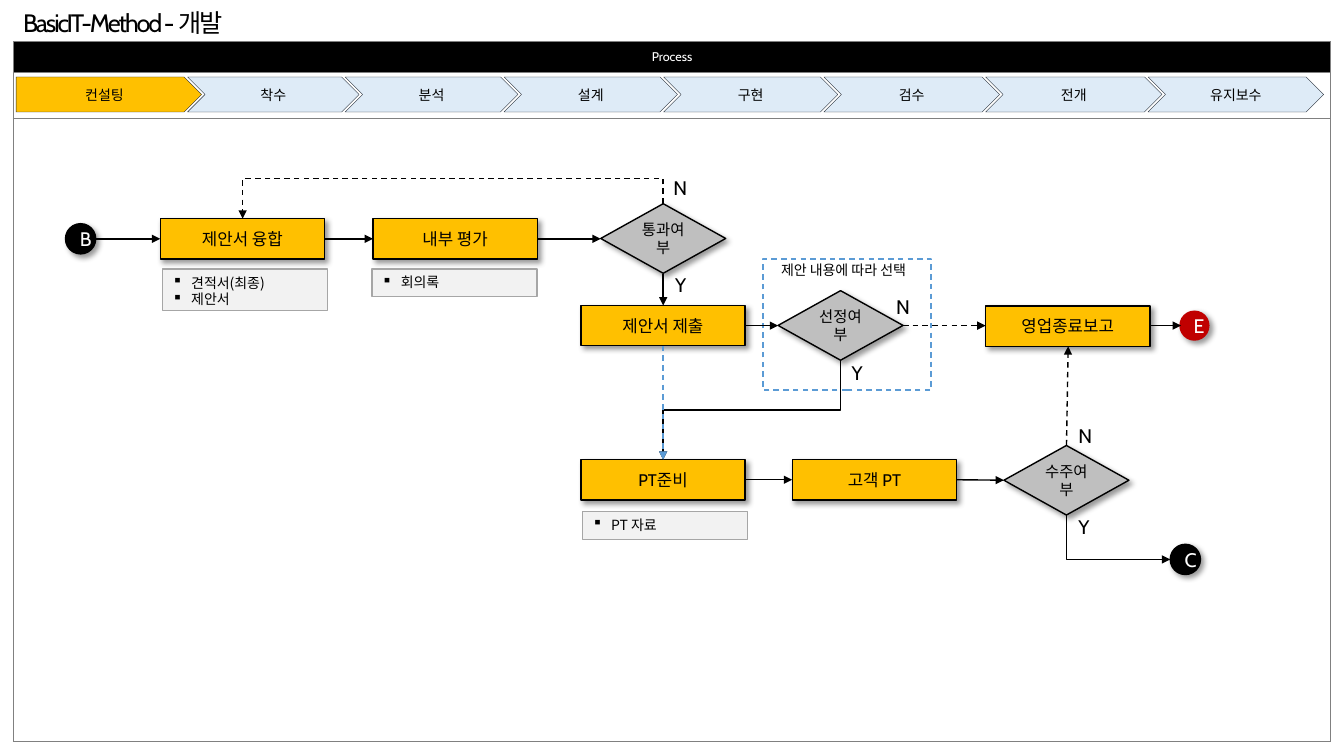
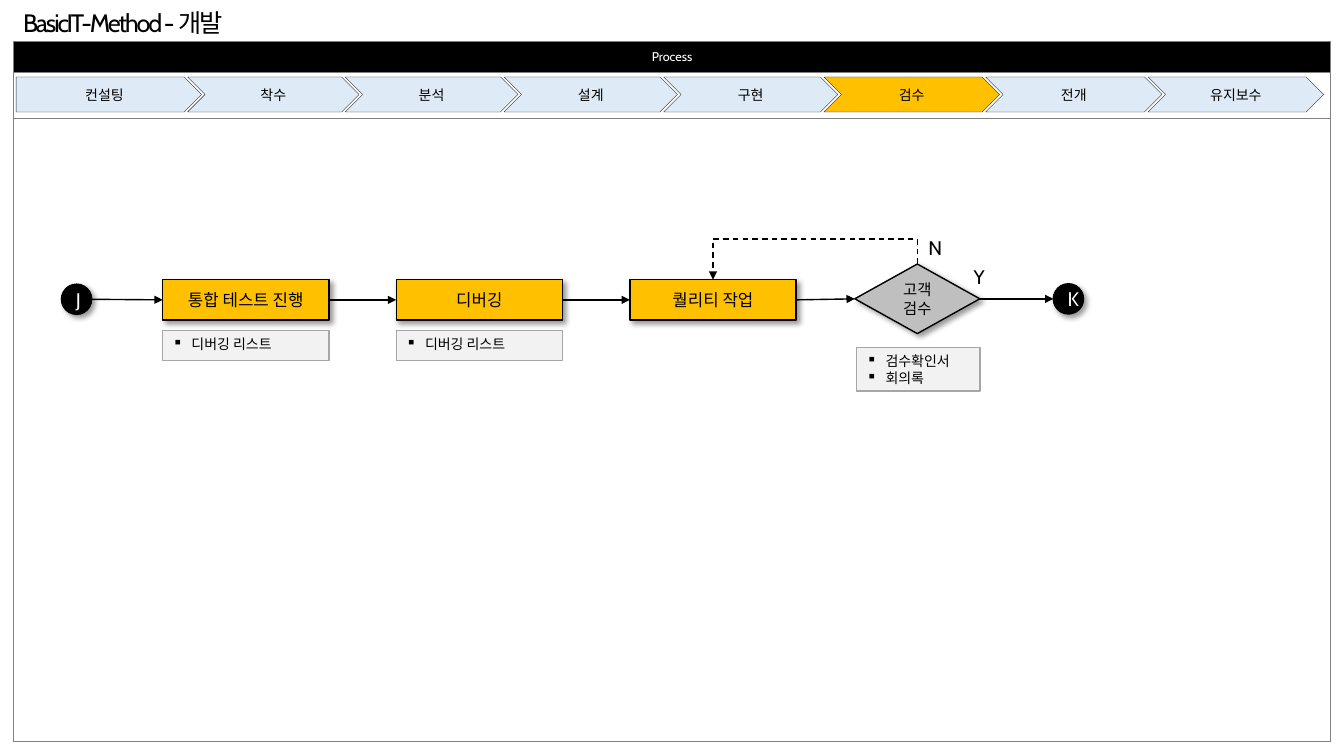
from lxml import etree
from pptx import Presentation
from pptx.dml.color import RGBColor
from pptx.enum import dml, shapes, text
from pptx.oxml import ns
from pptx.util import Pt

rgb = RGBColor.from_string
qn = ns.qn
SHAPE = shapes.MSO_SHAPE
BLACK, WHITE, GREY = "000000", "FFFFFF", "808080"
AMBER, PALE, BLUE, RED = "FFC000", "DEEBF7", "5B9BD5", "C00000"
LATIN, KOREAN = "Cabin", "Noto Sans CJK KR"

# kind: preset, fill, line colour, line width, text size, text colour, font, shadow
KINDS = {
    "first": (SHAPE.PENTAGON, PALE, "222A35", 0.25, 10, BLACK, LATIN, False),
    "stage": (SHAPE.CHEVRON, PALE, "222A35", 0.25, 10, BLACK, LATIN, False),
    "task": (SHAPE.RECTANGLE, AMBER, BLACK, 1, 12, BLACK, LATIN, True),
    "link": (SHAPE.OVAL, BLACK, BLACK, 1, 14, WHITE, LATIN, True),
    "end": (SHAPE.OVAL, RED, None, 0, 14, WHITE, LATIN, True),
    "decision": (SHAPE.DIAMOND, "BFBFBF", BLACK, 1, 11, BLACK, LATIN, True),
    "note": (SHAPE.RECTANGLE, "F2F2F2", "A6A6A6", 1, 10, BLACK, KOREAN, False),
    "option": (SHAPE.RECTANGLE, None, BLUE, 1, 10, BLACK, KOREAN, False),
    "answer": (None, None, None, 0, 14, BLACK, LATIN, False),
    "caption": (None, None, None, 0, 10, BLACK, KOREAN, False),
    "title": (None, None, None, 0, 18, BLACK, LATIN, False),
}
STAGES = ["컨설팅", "착수", "분석", "설계", "구현", "검수", "전개", "유지보수"]
STAGE_EDGES = [11.5, 134, 246.5, 360, 474, 588.5, 704, 820, 935.5]
STAGE_OVERLAP = 10
TITLE = ("title", 9.4, 1.4, 163.4, 28.8, "BasicIT-Method - 개발")
TASK, LINK, DECISION, ANSWER = (117.4, 28.8), (21.6, 21.6), (89.3, 49.7), (23, 24.5)
WIDE_TASK = (118.8, 28.8)

# items: kind, left, top, width, height, text
# arrows: start x, start y, end x, end y, colour, dashed, bend
# bend: None is straight, "corner" has one turn, a number is the drop before the turn
SLIDES = [
    {
        "active": "컨설팅",
        "items": [
            ("link", 46.8, 159.8, *LINK, "B"),
            ("task", 114.5, 156.2, *TASK, "제안서 융합"),
            ("note", 116, 192.2, 118, 29.5, "견적서(최종)\n제안서"),
            ("task", 266.4, 156.2, *TASK, "내부 평가"),
            ("note", 265.7, 192.2, 118, 19.5, "회의록"),
            ("decision", 429.1, 145.5, *DECISION, "통과여부"),
            ("answer", 475.2, 191.5, *ANSWER, "Y"),
            ("answer", 473.8, 122.4, *ANSWER, "N"),
            ("task", 414.9, 218.2, *TASK, "제안서 제출"),
            ("decision", 555.8, 207.6, *DECISION, "선정여부"),
            ("answer", 601.2, 254.2, *ANSWER, "Y"),
            ("answer", 633, 207.4, *ANSWER, "N"),
            ("option", 545, 185, 120.2, 93.6, ""),
            ("caption", 550.8, 183.6, 107.3, 19.4, "제안 내용에 따라 선택"),
            ("task", 704, 218.7, *TASK, "영업종료보고"),
            ("end", 842.4, 221.8, *LINK, "E"),
            ("task", 414.9, 328.3, *TASK, "PT준비"),
            ("note", 416, 365.2, 118, 20, "PT 자료"),
            ("task", 565.9, 328.3, *TASK, "고객 PT"),
            ("decision", 717.1, 318.2, *DECISION, "수주여부"),
            ("answer", 763.2, 364.3, *ANSWER, "Y"),
            ("answer", 763.2, 299.5, *ANSWER, "N"),
            ("link", 835.9, 388.8, *LINK, "C"),
        ],
        "arrows": [
            (68.4, 170.6, 114.5, 170.6, BLACK, False, None),
            (231.9, 170.6, 266.4, 170.6, BLACK, False, None),
            (383.8, 170.6, 429.1, 170.6, BLACK, False, None),
            (473.7, 145.5, 173.3, 156.2, BLACK, True, -18),
            (473.7, 195.5, 473.7, 218.2, BLACK, False, None),
            (532.4, 232.6, 555.8, 232.6, BLACK, False, None),
            (645, 232.6, 704, 232.6, BLACK, True, None),
            (821.4, 232.6, 843.6, 232.6, BLACK, False, None),
            (600.4, 257.4, 473.7, 328.3, BLACK, False, 35.4),
            (532.4, 342.7, 565.9, 342.7, BLACK, False, None),
            (683.3, 342.7, 717.1, 343, BLACK, False, None),
            (761.8, 318.2, 763, 247.4, BLACK, True, None),
            (761.8, 367.9, 835.9, 399.6, BLACK, False, "corner"),
            (473.7, 247, 473.7, 328.3, BLUE, True, None),
        ],
    },
    {
        "active": "검수",
        "items": [
            ("link", 43.9, 203, *LINK, "J"),
            ("task", 116.2, 199.8, *WIDE_TASK, "통합 테스트 진행"),
            ("note", 116.2, 236.2, 118.8, 21.4, "디버깅 리스트"),
            ("task", 283, 199.8, *WIDE_TASK, "디버깅"),
            ("note", 283, 236.2, 118.8, 21.4, "디버깅 리스트"),
            ("task", 449.9, 199.8, *WIDE_TASK, "퀄리티 작업"),
            ("decision", 610.6, 188.6, *DECISION, "고객\n검수"),
            ("note", 612, 248.4, 88, 31, "검수확인서\n회의록"),
            ("answer", 688.3, 185.8, *ANSWER, "Y"),
            ("answer", 656, 164.9, *ANSWER, "N"),
            ("link", 752.4, 202.7, *LINK, "K"),
        ],
        "arrows": [
            (65.5, 213.8, 116.2, 214.2, BLACK, False, None),
            (235, 214.2, 283, 214.2, BLACK, False, None),
            (401.8, 214.2, 449.9, 214.2, BLACK, False, None),
            (568.7, 214.2, 610.6, 213.5, BLACK, False, None),
            (699.9, 213.5, 752.4, 213.5, BLACK, False, None),
            (655.3, 188.6, 509.3, 199.8, BLACK, True, -18),
        ],
    },
]


def write(tf, content, size, colour, font, align, bulleted=False, spacing=None):
    for i, line in enumerate(content.split("\n")):
        p = tf.add_paragraph() if i else tf.paragraphs[0]
        p.alignment = align
        if bulleted:
            pPr = p._p.get_or_add_pPr()
            pPr.set("marL", str(Pt(13.5)))
            pPr.set("indent", str(-Pt(13.5)))
            etree.SubElement(pPr, qn("a:buChar"), char="▪")
        r = p.add_run()
        r.text = line
        r.font.size = Pt(size)
        r.font.color.rgb = rgb(colour)
        r.font.name = font
        rPr = r._r.get_or_add_rPr()
        etree.SubElement(rPr, qn("a:ea"), typeface=KOREAN)
        if spacing:
            rPr.set("spc", str(spacing))


def connect(s, x1, y1, x2, y2, colour, dashed, bend):
    """Draw an arrow; a bent one leaves vertically, so its frame is turned by 90 degrees."""
    kind = shapes.MSO_CONNECTOR.STRAIGHT
    if bend is not None:
        kind = shapes.MSO_CONNECTOR.ELBOW
        cx, cy, run, rise = (x1 + x2) / 2, (y1 + y2) / 2, y2 - y1, x1 - x2
        x1, y1, x2, y2 = cx - run / 2, cy - rise / 2, cx + run / 2, cy + rise / 2
    c = s.shapes.add_connector(kind, Pt(x1), Pt(y1), Pt(x2), Pt(y2))
    c.line.color.rgb = rgb(colour)
    c.line.width = Pt(1)
    if dashed:
        c.line.dash_style = dml.MSO_LINE.DASH
    spPr = c._element.spPr
    etree.SubElement(spPr.find(qn("a:ln")), qn("a:tailEnd"), type="triangle")
    etree.SubElement(spPr, qn("a:effectLst"))
    if bend is not None:
        spPr.find(qn("a:xfrm")).set("rot", str(90 * 60000))
        geom = spPr.find(qn("a:prstGeom"))
        if bend == "corner":
            geom.set("prst", "bentConnector2")
        else:
            guides = geom.find(qn("a:avLst"))
            if guides is None:
                guides = etree.SubElement(geom, qn("a:avLst"))
            share = round(bend / run * 100000)
            etree.SubElement(guides, qn("a:gd"), name="adj1", fmla=f"val {share}")


prs = Presentation()
prs.slide_width, prs.slide_height = Pt(960), Pt(540)

for page in SLIDES:
    s = prs.slides.add_slide(prs.slide_layouts[6])

    # Process frame
    frame = s.shapes.add_table(3, 1, Pt(9.5), Pt(29.7), Pt(941), Pt(499.7))
    table = frame.table
    table.first_row = table.horz_banding = False
    for row, height in zip(table.rows, (22.3, 32.4, 445)):
        row.height = Pt(height)
        cell = row.cells[0]
        tcPr = cell._tc.get_or_add_tcPr()
        for side in ("a:lnL", "a:lnR", "a:lnT", "a:lnB"):
            ln = etree.SubElement(tcPr, qn(side), w=str(Pt(0.5)))
            fill = etree.SubElement(ln, qn("a:solidFill"))
            etree.SubElement(fill, qn("a:srgbClr"), val=GREY)
        cell.fill.background()
    header = table.cell(0, 0)
    header.fill.solid()
    header.fill.fore_color.rgb = rgb(BLACK)
    header.vertical_anchor = text.MSO_ANCHOR.MIDDLE
    write(header.text_frame, "Process", 9, WHITE, LATIN, text.PP_ALIGN.CENTER)

    # Stage band, flow shapes and title
    band = []
    for i, name in enumerate(STAGES):
        left, right = STAGE_EDGES[i], STAGE_EDGES[i + 1] + STAGE_OVERLAP
        kind = "stage" if i else "first"
        band.append((kind, left, 55, right - left, 25, name))

    for kind, x, y, w, h, content in band + page["items"] + [TITLE]:
        preset, fill, line, width, size, colour, font, shadow = KINDS[kind]
        box = Pt(x), Pt(y), Pt(w), Pt(h)
        if preset is None:
            sp = s.shapes.add_textbox(*box)
            tf = sp.text_frame
            tf.word_wrap = False
            tf.auto_size = text.MSO_AUTO_SIZE.SHAPE_TO_FIT_TEXT
            spacing = -150 if kind == "title" else None
            write(tf, content, size, colour, font, text.PP_ALIGN.LEFT, spacing=spacing)
            continue

        sp = s.shapes.add_shape(preset, *box)
        sp.shadow.inherit = False
        if shadow:
            effects = sp._element.spPr.find(qn("a:effectLst"))
            outer = etree.SubElement(
                effects, qn("a:outerShdw"), blurRad=str(Pt(4)), dist=str(Pt(3)),
                dir=str(45 * 60000), algn="tl", rotWithShape="0")
            tint = etree.SubElement(outer, qn("a:srgbClr"), val=BLACK)
            etree.SubElement(tint, qn("a:alpha"), val="40000")
        if fill:
            sp.fill.solid()
            sp.fill.fore_color.rgb = rgb(AMBER if content == page["active"] else fill)
        else:
            sp.fill.background()
        if line:
            sp.line.color.rgb = rgb(line)
            sp.line.width = Pt(width)
        else:
            sp.line.fill.background()
        if kind == "option":
            sp.line.dash_style = dml.MSO_LINE.DASH
        if content:
            tf = sp.text_frame
            tf.word_wrap = True
            note = kind == "note"
            tf.vertical_anchor = text.MSO_ANCHOR.TOP if note else text.MSO_ANCHOR.MIDDLE
            align = text.PP_ALIGN.LEFT if note else text.PP_ALIGN.CENTER
            write(tf, content, size, colour, font, align, bulleted=note)

    for arrow in page["arrows"]:
        connect(s, *arrow)

prs.save("out.pptx")
